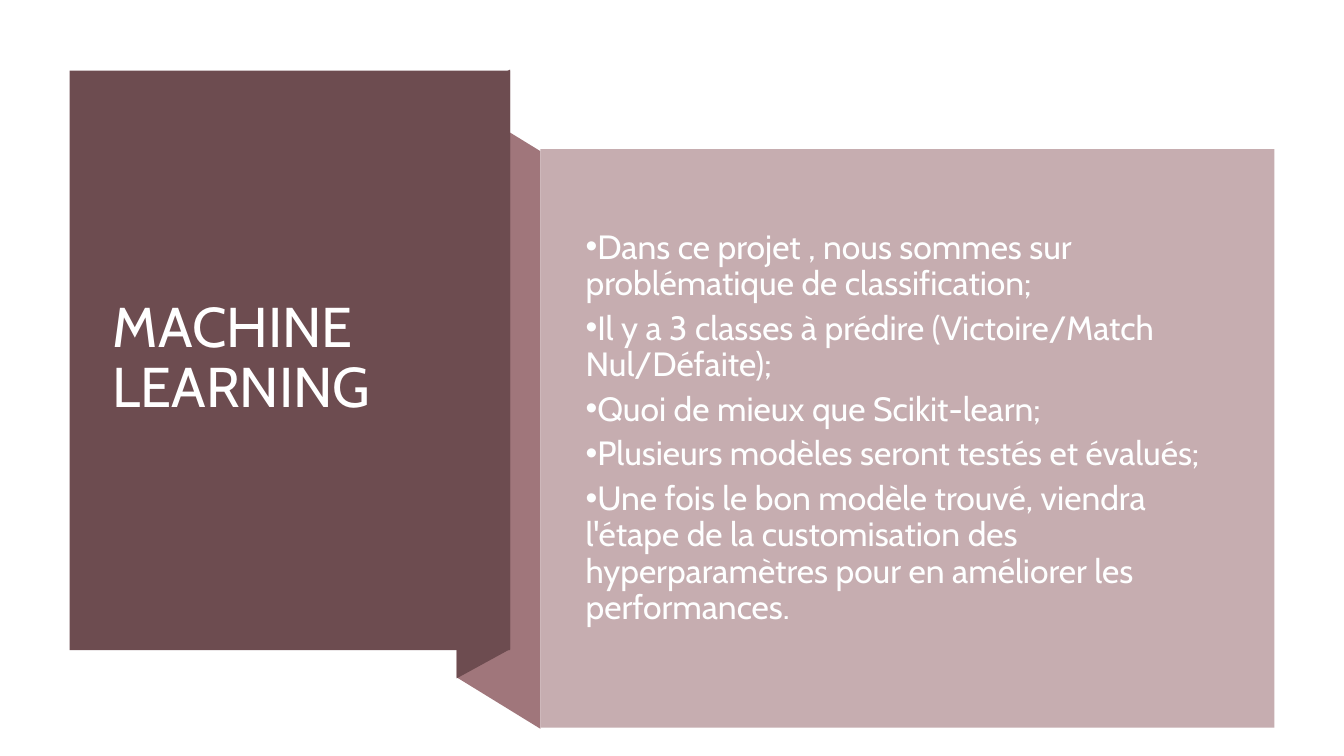
from pptx import Presentation
from pptx.dml.color import RGBColor
from pptx.enum.shapes import MSO_SHAPE
from pptx.enum.text import MSO_ANCHOR
from pptx.oxml.ns import qn
from pptx.util import Inches, Pt
from lxml.etree import SubElement

# Content
TITLE = "MACHINE LEARNING"
POINTS = [
    "Dans ce projet , nous sommes sur problématique de classification;",
    "Il y a 3 classes à prédire (Victoire/Match Nul/Défaite);",
    "Quoi de mieux que Scikit-learn;",
    "Plusieurs modèles seront testés et évalués;",
    "Une fois le bon modèle trouvé, viendra l'étape de la customisation "
    "des hyperparamètres pour en améliorer les performances.",
]
COLORS = {"dark": "6D4C50", "fold": "A0767B", "panel": "C6ADB0",
          "title": "FFFFFF", "body": "FEFFFF"}
FONT = "Cabin"

# Ribbon geometry: left, top, width, height of the two panels
TITLE_PANEL = (0.69, 0.7, 4.37, 5.75)
BODY_PANEL = (5.36, 1.48, 7.28, 5.74)
FOLD_X = 4.53
TITLE_RIGHT = TITLE_PANEL[0] + TITLE_PANEL[2]
# Each fold: colour, right edge x, top y at left and right, side height
FOLDS = [("fold", BODY_PANEL[0], 0.99, 1.5, 5.73),
         ("dark", TITLE_RIGHT, 0.98, 0.69, 5.75)]

prs = Presentation()
prs.slide_width, prs.slide_height = Inches(13.33), Inches(7.5)
s = prs.slides.add_slide(prs.slide_layouts[6])


def paint(sp, color):
    sp.shadow.inherit = False
    sp.fill.solid()
    sp.fill.fore_color.rgb = RGBColor.from_string(COLORS[color])
    sp.line.fill.background()


def add_panel(box, color):
    paint(s.shapes.add_shape(MSO_SHAPE.RECTANGLE, *map(Inches, box)), color)


def add_fold(color, right, top_left, top_right, height):
    pts = [(FOLD_X, top_left), (right, top_right),
           (right, top_right + height), (FOLD_X, top_left + height)]
    pts = [(Inches(x), Inches(y)) for x, y in pts]
    fb = s.shapes.build_freeform(*pts[0])
    fb.add_line_segments(pts[1:], close=True)
    paint(fb.convert_to_shape(), color)


def add_text(box, lines, size, color, bullet=False):
    tf = s.shapes.add_textbox(*map(Inches, box)).text_frame
    tf.word_wrap = True
    tf.vertical_anchor = MSO_ANCHOR.MIDDLE
    for i, line in enumerate(lines):
        p = tf.paragraphs[0] if i == 0 else tf.add_paragraph()
        p.line_spacing = 0.9
        if bullet:
            p.space_after = Pt(6)
            pPr = p._p.get_or_add_pPr()
            pPr.set("marL", "0")
            pPr.set("indent", str(-Inches(0.25)))
            SubElement(pPr, qn("a:buFont"), typeface="Arial")
            SubElement(pPr, qn("a:buChar"), char="•")
        r = p.add_run()
        r.text = line
        for name, value in {"name": FONT, "size": Pt(size)}.items():
            setattr(r.font, name, value)
        r.font.color.rgb = RGBColor.from_string(COLORS[color])


# Folded ribbon behind the panels
for fold in FOLDS:
    add_fold(*fold)

# Title panel
add_panel(TITLE_PANEL, "dark")
add_text((1.02, 1.07, 3.71, 4.99), [TITLE], 40, "title")

# Body panel
add_panel(BODY_PANEL, "panel")
add_text((5.71, 1.88, 6.51, 4.74), POINTS, 24, "body", bullet=True)

prs.save("out.pptx")
